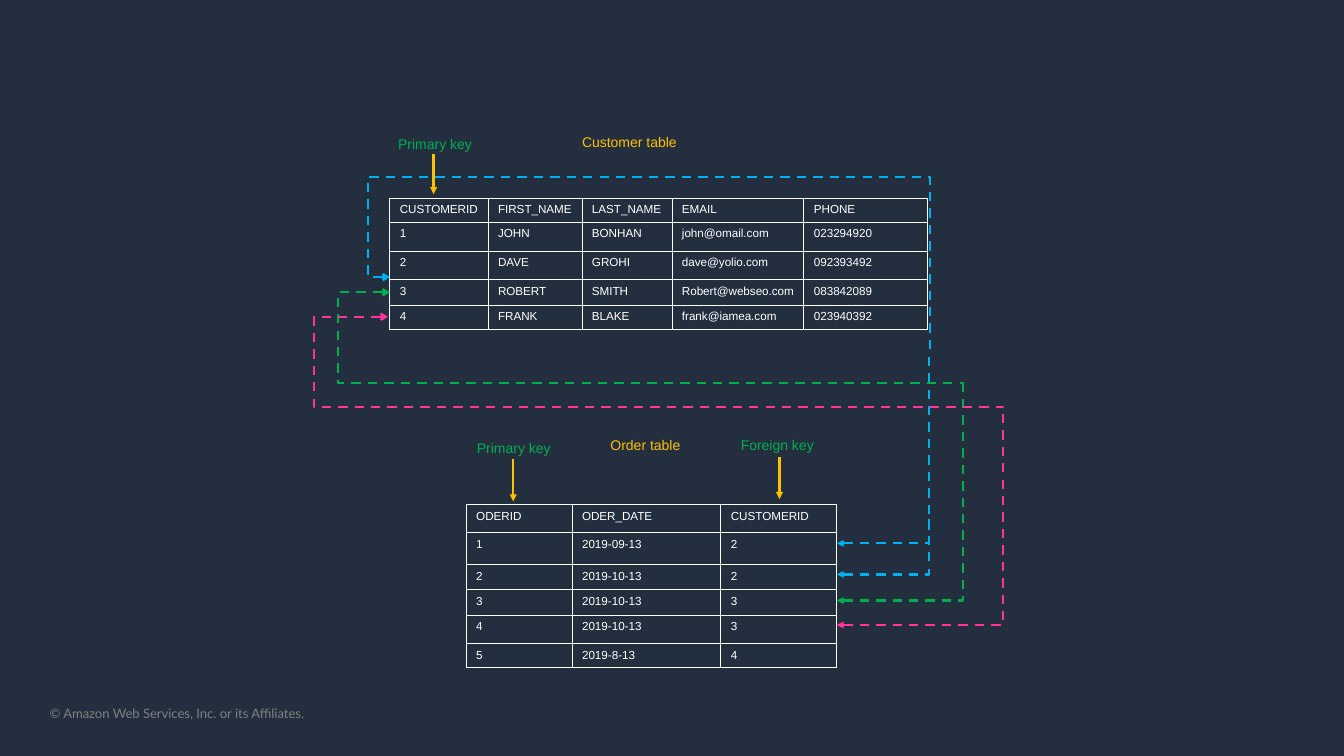
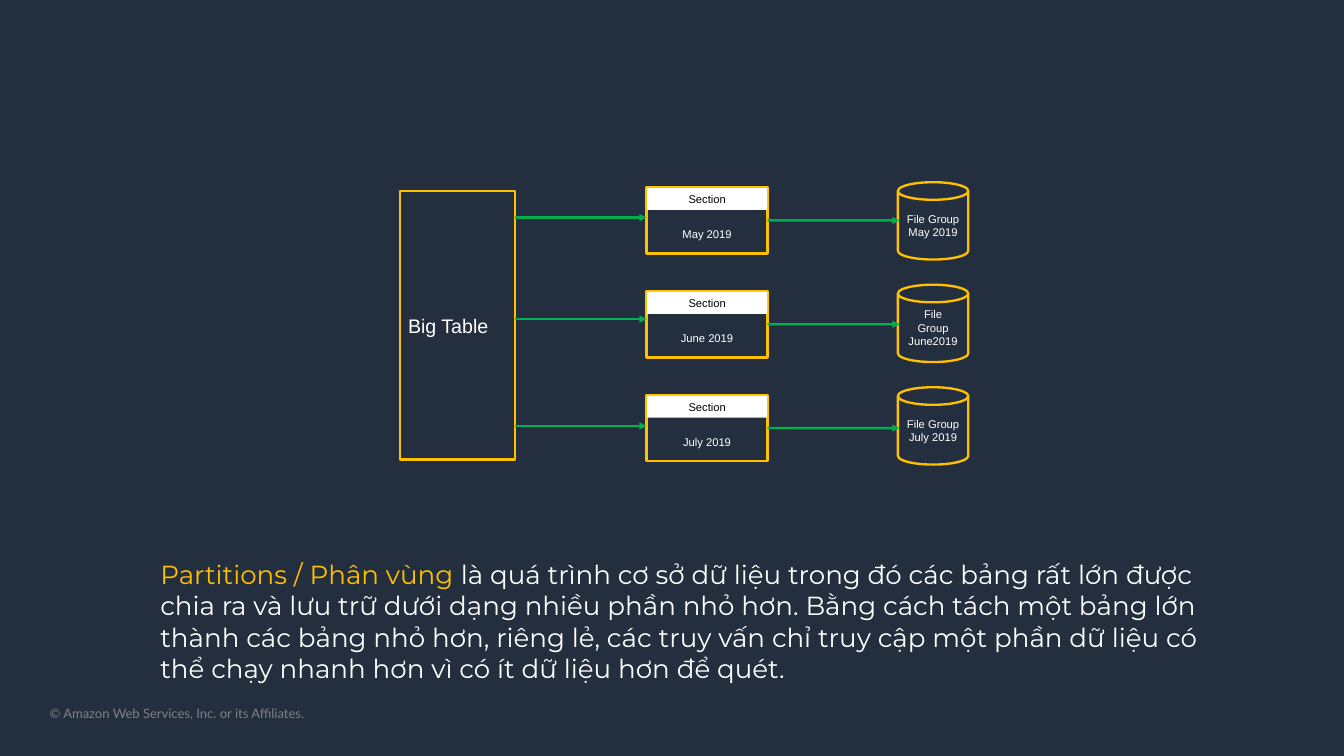
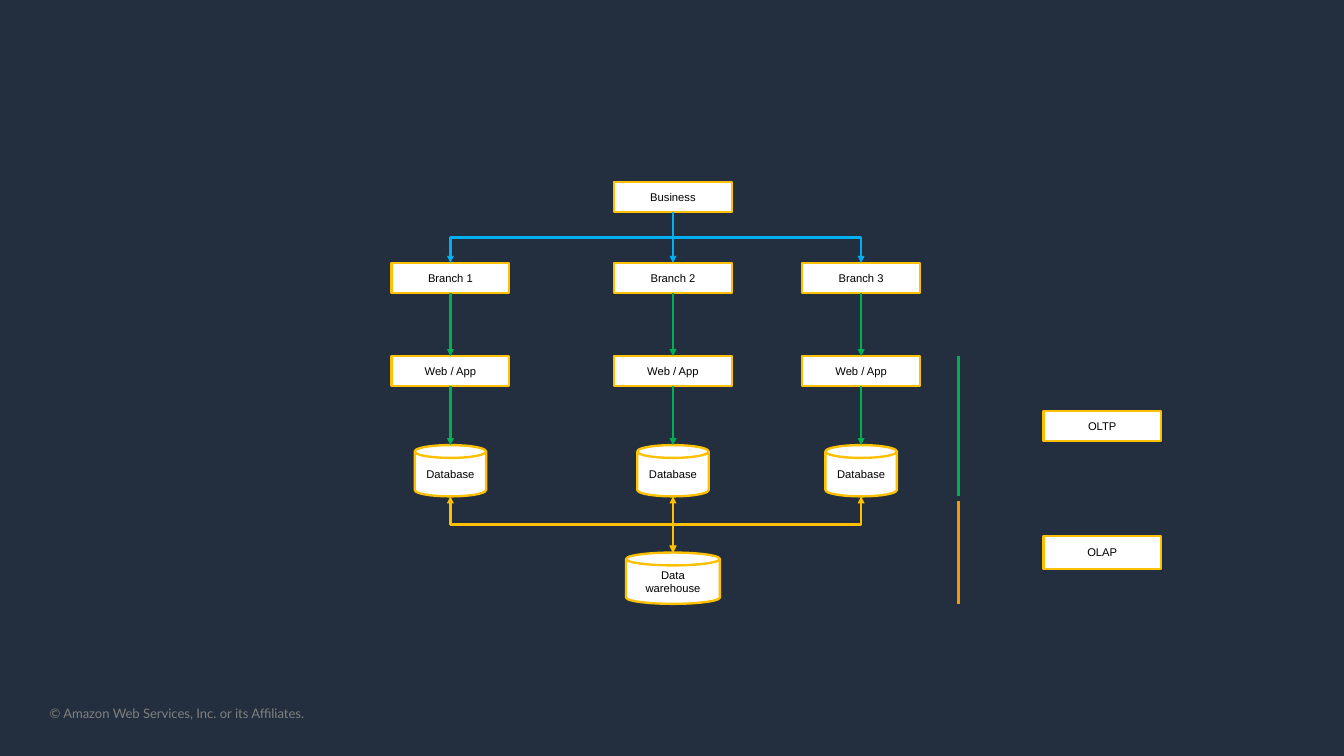
from dataclasses import dataclass
from lxml import etree
from pptx import Presentation
from pptx.dml.color import RGBColor
from pptx.enum.dml import MSO_LINE
from pptx.enum.shapes import MSO_CONNECTOR, MSO_SHAPE
from pptx.enum.text import MSO_ANCHOR, PP_ALIGN
from pptx.oxml.ns import qn
from pptx.util import Cm, Pt

RECT, CAN = MSO_SHAPE.RECTANGLE, MSO_SHAPE.CAN
STRAIGHT, ELBOW = MSO_CONNECTOR.STRAIGHT, MSO_CONNECTOR.ELBOW
LEFT, CENTER = PP_ALIGN.LEFT, PP_ALIGN.CENTER
TOP, MIDDLE = MSO_ANCHOR.TOP, MSO_ANCHOR.MIDDLE
DASH = MSO_LINE.DASH
SIDE_TOP, SIDE_BOTTOM, SIDE_RIGHT = 0, 2, 3


@dataclass(frozen=True)
class Theme:
    background: str = "232F3E"
    white: str = "FFFFFF"
    black: str = "000000"
    gold: str = "FFC000"
    green: str = "00B050"
    blue: str = "00B0F0"
    pink: str = "FF3399"
    orange: str = "F99600"
    grey: str = "808080"
    font: str = "Arial"
    footer_font: str = "Lato"
    body_font: str = "Montserrat"
    node: float = 9.6
    cell: float = 10
    footer: float = 11.2
    label: float = 12
    heading: float = 16.8
    body: float = 22.4
    line: float = 2
    border: float = 1


THEME = Theme()


# Text and line formatting
def set_all(target, values):
    for name, value in values.items():
        setattr(target, name, value)


def add_run(paragraph, text, size, color, font=THEME.font):
    run = paragraph.add_run()
    run.text = text
    set_all(run.font, {"size": Pt(size), "name": font})
    run.font.color.rgb = RGBColor.from_string(color)


def write_lines(frame, text, size, color, align=LEFT, font=THEME.font):
    for number, line in enumerate(text.split("\n")):
        paragraph = frame.add_paragraph() if number else frame.paragraphs[0]
        paragraph.alignment = align
        add_run(paragraph, line, size, color, font)


def style_line(shape, color, dash=None, head=None, tail=None):
    shape.line.color.rgb = RGBColor.from_string(color)
    set_all(shape.line, {"width": Pt(THEME.line), "dash_style": dash})
    outline = shape.element.spPr.find(qn("a:ln"))
    for tag, kind in (("a:headEnd", head), ("a:tailEnd", tail)):
        if kind:
            etree.SubElement(outline, qn(tag), type=kind)


# Elements
def add_text(slide, box, wrap=True, inset=None):
    frame = slide.shapes.add_textbox(*map(Cm, box)).text_frame
    frame.word_wrap = wrap
    if inset is not None:
        sides = ("left", "top", "right", "bottom")
        set_all(frame, {f"margin_{side}": Cm(inset) for side in sides})
    return frame


def add_label(slide, text, left, top, width, color):
    frame = add_text(slide, (left, top, width, 0.76), wrap=False)
    write_lines(frame, text, THEME.label, color)


def add_node(slide, kind, box, text, fill=None, line=THEME.gold,
             color=THEME.white, size=THEME.node, align=CENTER, **frame_format):
    node = slide.shapes.add_shape(kind, *map(Cm, box))
    node.shadow.inherit = False
    if fill:
        node.fill.solid()
        node.fill.fore_color.rgb = RGBColor.from_string(fill)
    else:
        node.fill.background()
    if line:
        style_line(node, line)
    else:
        node.line.fill.background()
    frame = node.text_frame
    set_all(frame, {"word_wrap": True, "vertical_anchor": MIDDLE} | frame_format)
    write_lines(frame, text, size, color, align)
    return node


def add_link(slide, start, end, color, kind=STRAIGHT, **line_format):
    link = slide.shapes.add_connector(kind, *map(Cm, start + end))
    style_line(link, color, **line_format)
    etree.SubElement(link.element.spPr, qn("a:effectLst"))
    return link


def add_arrow(slide, start, end, color):
    return add_link(slide, start, end, color, tail="triangle")


def add_drop(slide, start, end, color, **line_format):
    """Elbow that leaves downwards, crosses, and arrives downwards."""
    (x1, y1), (x2, y2) = start, end
    mid_x, mid_y = (x1 + x2) / 2, (y1 + y2) / 2
    half_w, half_h = (y2 - y1) / 2, abs(x2 - x1) / 2
    to_right = x2 > x1
    if to_right:
        half_w = -half_w
    drop = add_link(slide, (mid_x - half_w, mid_y - half_h),
                    (mid_x + half_w, mid_y + half_h), color, ELBOW, **line_format)
    turn = 270 if to_right else 90
    drop.element.spPr.find(qn("a:xfrm")).set("rot", str(turn * 60000))


def add_detour(slide, start, end, color, bends, half_turn=False):
    """Dashed elbow around a table; bends are shares of its width and height."""
    if half_turn:
        detour = add_link(slide, end, start, color, ELBOW, dash=DASH, head="arrow")
        detour.element.spPr.find(qn("a:xfrm")).set("rot", str(180 * 60000))
    else:
        detour = add_link(slide, start, end, color, ELBOW, dash=DASH, head="arrow")
    geometry = detour.element.spPr.find(qn("a:prstGeom"))
    geometry.set("prst", f"bentConnector{len(bends) + 2}")
    guides = geometry.find(qn("a:avLst"))
    if guides is None:
        guides = etree.SubElement(geometry, qn("a:avLst"))
    for number, share in enumerate(bends, 1):
        etree.SubElement(guides, qn("a:gd"), name=f"adj{number}",
                         fmla=f"val {round(share * 100000)}")


def add_route(slide, points, color):
    start, *rest = [(Cm(x), Cm(y)) for x, y in points]
    builder = slide.shapes.build_freeform(*start)
    builder.add_line_segments(rest, close=False)
    route = builder.convert_to_shape()
    route.shadow.inherit = False
    route.fill.background()
    style_line(route, color, dash=DASH, head="triangle")


def add_borders(cell):
    properties = cell._tc.get_or_add_tcPr()
    for place, tag in enumerate(("a:lnL", "a:lnR", "a:lnT", "a:lnB")):
        border = etree.Element(qn(tag), w=str(Pt(THEME.border)))
        fill = etree.SubElement(border, qn("a:solidFill"))
        etree.SubElement(fill, qn("a:srgbClr"), val=THEME.white)
        properties.insert(place, border)


def add_grid(slide, left, top, widths, heights, rows):
    box = (left, top, sum(widths), sum(heights))
    table = slide.shapes.add_table(len(rows), len(widths), *map(Cm, box)).table
    set_all(table, {"first_row": False, "horz_banding": False})
    for column, width in zip(table.columns, widths):
        column.width = Cm(width)
    for row, height, texts in zip(table.rows, heights, rows):
        row.height = Cm(height)
        for cell, text in zip(row.cells, texts):
            set_all(cell, {"margin_left": Cm(0.3), "margin_right": Cm(0.3),
                           "margin_top": Cm(0.15), "margin_bottom": Cm(0.15),
                           "vertical_anchor": TOP})
            cell.fill.background()
            add_borders(cell)
            write_lines(cell.text_frame, text, THEME.cell, THEME.white)


# Shared background and footer
def set_up_layout(prs, layout, slide):
    background = prs.slide_master.background.fill
    background.solid()
    background.fore_color.rgb = RGBColor.from_string(THEME.background)
    footer = add_text(slide, (1.5, 21.34, 19.76, 0.48), inset=0)
    write_lines(footer, "© Amazon Web Services, Inc. or its Affiliates.",
                THEME.footer, THEME.grey, font=THEME.footer_font)
    layout.shapes.element.append(slide.shapes[0].element)


# Slide 1: keys that relate two tables
def build_keys(slide):
    add_grid(slide, 11.79, 5.99, (2.97, 2.84, 2.72, 3.99, 3.73),
             (0.71, 0.89, 0.86, 0.76, 0.71), (
                 ("CUSTOMERID", "FIRST_NAME", "LAST_NAME", "EMAIL", "PHONE"),
                 ("1", "JOHN", "BONHAN", "john@omail.com", "023294920"),
                 ("2", "DAVE", "GROHI", "dave@yolio.com", "092393492"),
                 ("3", "ROBERT", "SMITH", "Robert@webseo.com", "083842089"),
                 ("4", "FRANK", "BLAKE", "frank@iamea.com", "023940392")))
    add_grid(slide, 14.1, 15.27, (3.2, 4.5, 3.48),
             (0.84, 0.97, 0.76, 0.76, 0.86, 0.71), (
                 ("ODERID", "ODER_DATE", "CUSTOMERID"),
                 ("1", "2019-09-13", "2"),
                 ("2", "2019-10-13", "2"),
                 ("3", "2019-10-13", "3"),
                 ("4", "2019-10-13", "3"),
                 ("5", "2019-8-13", "4")))

    for text, left, top, width, color in (
            ("Customer table", 17.35, 3.91, 3.4, THEME.gold),
            ("Primary key", 11.79, 3.96, 2.77, THEME.green),
            ("Primary key", 14.17, 13.18, 2.77, THEME.green),
            ("Order table", 18.21, 13.08, 2.64, THEME.gold),
            ("Foreign key", 22.15, 13.08, 2.74, THEME.green)):
        add_label(slide, text, left, top, width, color)
    for x, top, bottom in ((13.11, 4.67, 5.87), (15.52, 13.89, 15.16),
                           (23.57, 13.82, 15.09)):
        add_arrow(slide, (x, top), (x, bottom), THEME.gold)

    # Foreign keys up the right side, then around to the customers
    for row_y, turn_x, up_y, color in (
            (16.43, 28.09, 10.67, THEME.blue), (17.37, 28.09, 15.37, THEME.blue),
            (18.16, 29.13, 11.56, THEME.green), (18.9, 30.33, 12.29, THEME.pink)):
        add_route(slide, ((25.3, row_y), (turn_x, row_y), (turn_x, up_y)), color)
    add_detour(slide, (11.79, 8.38), (28.12, 10.67), THEME.blue,
               (-0.04, -1.32, 1), half_turn=True)
    add_detour(slide, (11.79, 8.84), (29.13, 11.56), THEME.green, (-0.09, 1.01))
    add_detour(slide, (11.73, 9.58), (30.33, 12.29), THEME.pink, (-0.12, 1.01))


# Slide 2: one table split into partitions
def build_partitions(slide):
    add_node(slide, RECT, (12.09, 5.77, 3.48, 8.13), "Big Table",
             size=THEME.heading, align=LEFT)
    partitions = (("May 2019", "File Group\nMay 2019", 6.58),
                  ("June 2019", "File\nGroup\nJune2019", 9.65),
                  ("July 2019", "File Group\nJuly 2019", 12.88))
    section_left, section_w, section_h = 19.55, 3.66, 2.01
    for row, (month, file_group, split_y) in enumerate(partitions):
        top = 5.66 + 3.14 * row
        middle = top + section_h / 2
        section = add_node(slide, RECT, (section_left, top, section_w, section_h),
                           month, margin_top=Cm(0.95))
        add_node(slide, CAN, (27.15, 5.51 + 3.1 * row, 2.13, 2.34), file_group)
        add_arrow(slide, (15.57, split_y), (section_left, split_y), THEME.green)
        store = add_arrow(slide, (section_left + section_w, middle),
                          (27.2, middle), THEME.green)
        store.begin_connect(section, SIDE_RIGHT)
        add_node(slide, RECT, (section_left + 0.02, top + 0.03, 3.63, 0.66),
                 "Section", fill=THEME.white, line=None, color=THEME.black)

    definition = add_text(slide, (4.6, 16.76, 32.31, 4.09)).paragraphs[0]
    for text, color in (
            ("Partitions / Phân vùng ", THEME.gold),
            ("là quá trình cơ sở dữ liệu trong đó các bảng rất lớn được chia ra "
             "và lưu trữ dưới dạng nhiều phần nhỏ hơn. Bằng cách tách một bảng lớn "
             "thành các bảng nhỏ hơn, riêng lẻ, các truy vấn chỉ truy cập một phần "
             "dữ liệu có thể chạy nhanh hơn vì có ít dữ liệu hơn để quét.",
             THEME.white)):
        add_run(definition, text, THEME.body, color, THEME.body_font)


# Slide 3: branch databases feeding a warehouse
def build_warehouse(slide):
    box_w, box_h, can_h = 3.56, 0.91, 1.55
    business_y, branch_y, app_y, database_y, warehouse_y = 5.51, 7.95, 10.77, 13.46, 16.71
    hub_x = 20.35

    def add_white(kind, center, top, text, width=box_w, height=box_h):
        return add_node(slide, kind, (center - width / 2, top, width, height), text,
                        fill=THEME.white, color=THEME.black)

    business = add_white(RECT, hub_x, business_y, "Business")
    add_white(CAN, hub_x, warehouse_y, "Data warehouse", 2.84, can_h)
    for number, center in enumerate((13.62, hub_x, 26.04), 1):
        branch = add_white(RECT, center, branch_y, f"Branch {number}")
        app = add_white(RECT, center, app_y, "Web / App")
        add_white(CAN, center, database_y, "Database", 2.16, can_h)

        serve = add_arrow(slide, (center, branch_y + box_h), (center, app_y), THEME.green)
        serve.begin_connect(branch, SIDE_BOTTOM)
        serve.end_connect(app, SIDE_TOP)
        save = add_arrow(slide, (center, app_y + box_h), (center, database_y), THEME.green)
        save.begin_connect(app, SIDE_BOTTOM)

        split = (hub_x, business_y + box_h), (center, branch_y)
        merge = (center, database_y + can_h), (hub_x, warehouse_y)
        join = add_link if center == hub_x else add_drop
        manage = join(slide, *split, THEME.blue, tail="triangle")
        join(slide, *merge, THEME.gold, head="triangle", tail="triangle")
        if center == hub_x:
            manage.begin_connect(business, SIDE_BOTTOM)
            manage.end_connect(branch, SIDE_TOP)

    # Processing zones
    for name, top, height, line_top, line_bottom, color in (
            ("OLTP", 12.42, box_h, app_y, 14.99, THEME.green),
            ("OLAP", 16.21, 0.99, 15.16, 18.26, THEME.orange)):
        add_white(RECT, 33.33, top, name, height=height)
        add_link(slide, (28.98, line_top), (28.98, line_bottom), color)


def main():
    prs = Presentation()
    set_all(prs, {"slide_width": Cm(40.64), "slide_height": Cm(22.86)})
    layout = prs.slide_layouts.get_by_name("Blank")
    builders = (build_keys, build_partitions, build_warehouse)
    slides = [prs.slides.add_slide(layout) for _ in builders]
    set_up_layout(prs, layout, slides[0])
    for build, slide in zip(builders, slides):
        build(slide)
    prs.save("out.pptx")


if __name__ == "__main__":
    main()
